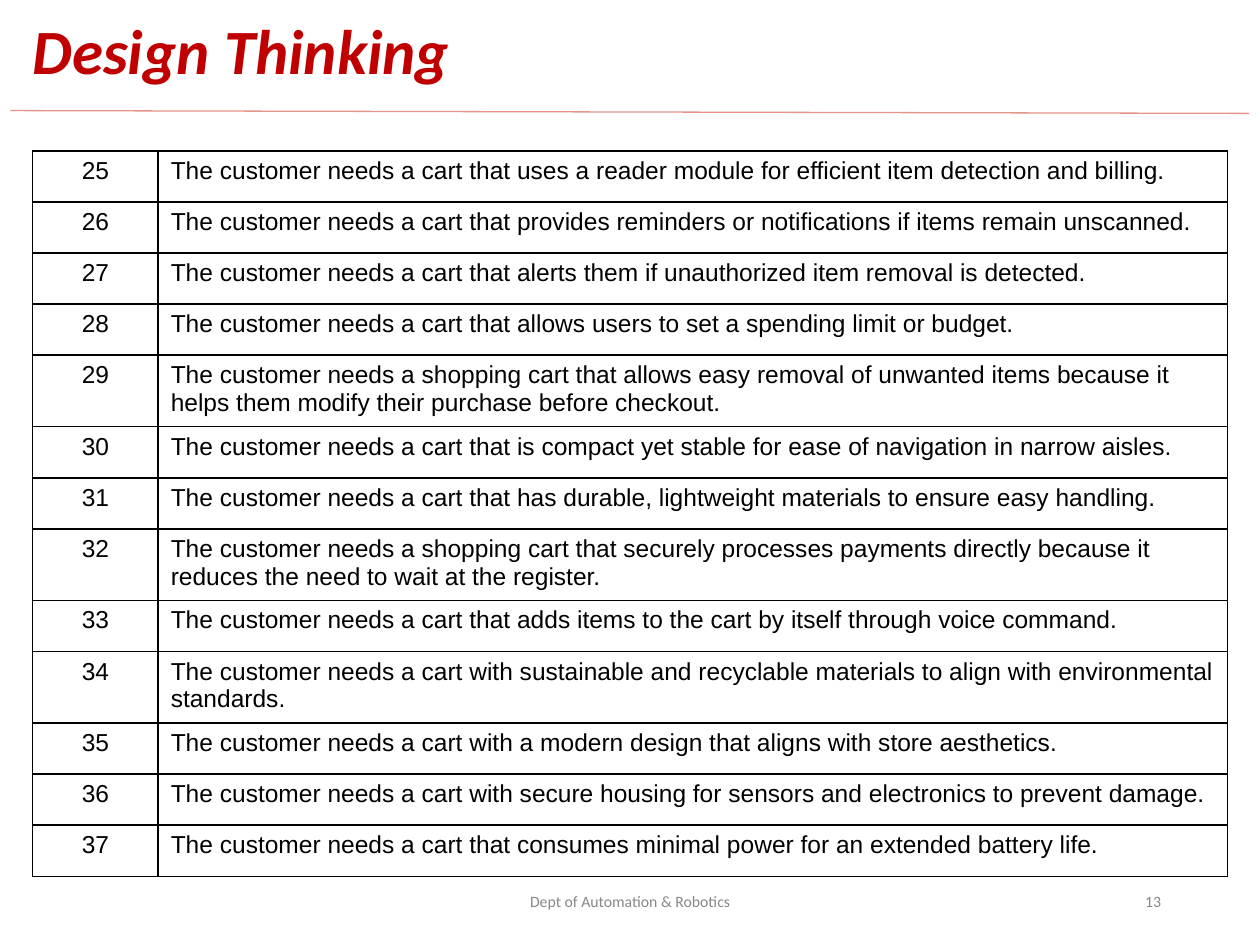
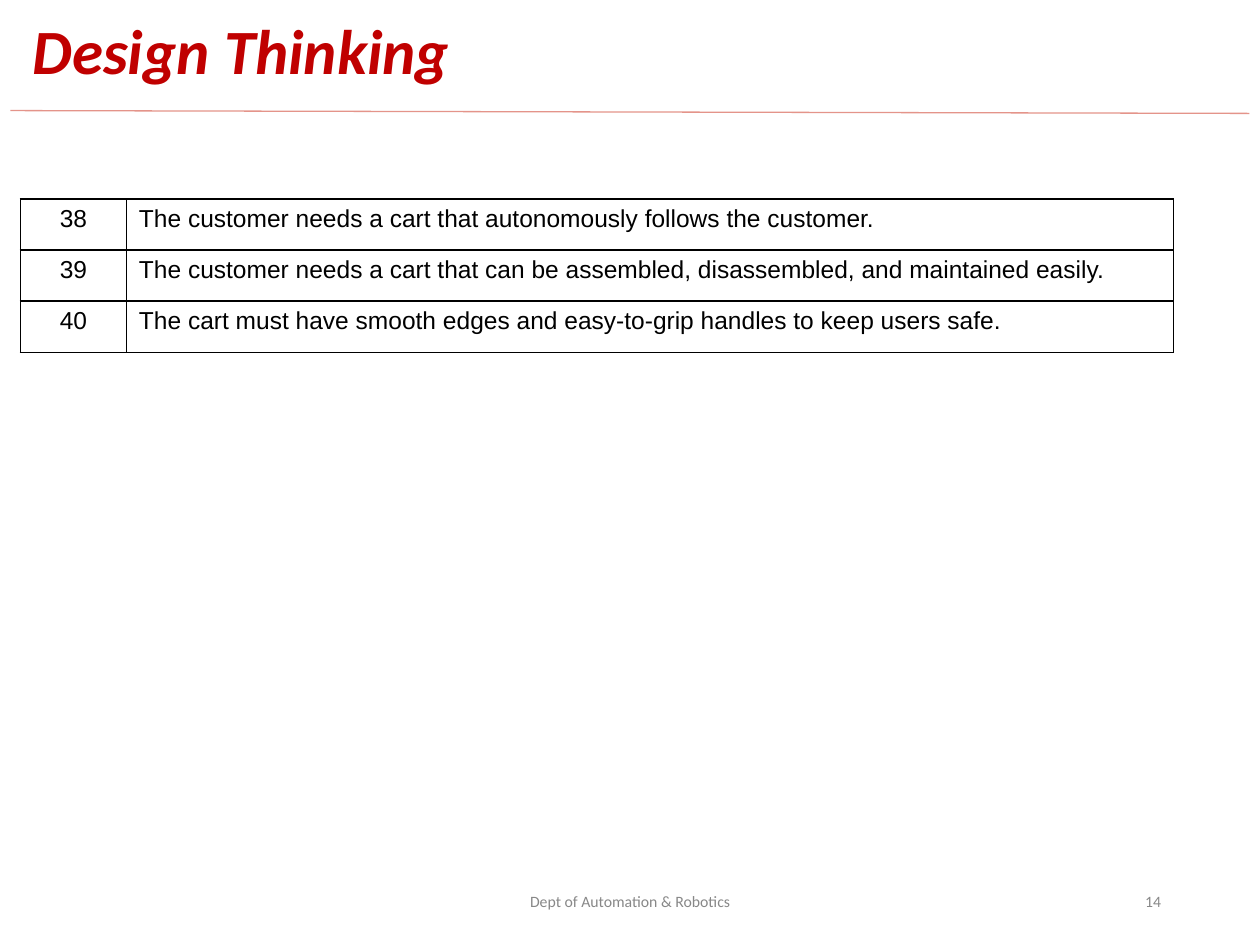
from dataclasses import dataclass

import pptx
import pptx.dml.color
import pptx.enum.shapes
import pptx.enum.text
import pptx.oxml.ns
import pptx.presentation
import pptx.slide
import pptx.table
import pptx.text.text
import pptx.util
from lxml import etree

Pt = pptx.util.Pt
RGB = pptx.dml.color.RGBColor
Align = pptx.enum.text.PP_ALIGN
qn = pptx.oxml.ns.qn


@dataclass(frozen=True)
class TextStyle:
    font: str
    size: float
    color: str
    bold: bool = False
    italic: bool = False
    line_spacing: float = 1.0


@dataclass(frozen=True)
class Theme:
    title: TextStyle = TextStyle("Calibri", 36, "C00000", True, True, 0.9)
    footer: TextStyle = TextStyle("Calibri", 9, "888888")
    body: TextStyle = TextStyle("Arial", 14, "000000")
    rule_color: str = "E4948A"
    rule_width: float = 0.75
    border_color: str = "000000"
    border_width: float = 1
    row_height: float = 29.2


@dataclass(frozen=True)
class Box:
    left: float
    top: float
    width: float
    height: float


@dataclass(frozen=True)
class NeedsPage:
    number: int
    left: float
    top: float
    number_width: float
    need_width: float
    first_need: int
    needs: tuple[str, ...]


THEME = Theme()
TITLE_BOX = Box(11.5, 10, 620.5, 42)
DEPARTMENT_BOX = Box(238.5, 500.5, 243, 28.75)
PAGE_NUMBER_BOX = Box(508.5, 500.5, 162, 28.75)

PAGES = (
    NeedsPage(13, 18.7, 86.2, 71.7, 611, 25, (
        "The customer needs a cart that uses a reader module for efficient item detection and billing.",
        "The customer needs a cart that provides reminders or notifications if items remain unscanned.",
        "The customer needs a cart that alerts them if unauthorized item removal is detected.",
        "The customer needs a cart that allows users to set a spending limit or budget.",
        "The customer needs a shopping cart that allows easy removal of unwanted items because it "
        "helps them modify their purchase before checkout.",
        "The customer needs a cart that is compact yet stable for ease of navigation in narrow aisles.",
        "The customer needs a cart that has durable, lightweight materials to ensure easy handling.",
        "The customer needs a shopping cart that securely processes payments directly because it "
        "reduces the need to wait at the register.",
        "The customer needs a cart that adds items to the cart by itself through voice command.",
        "The customer needs a cart with sustainable and recyclable materials to align with "
        "environmental standards.",
        "The customer needs a cart with a modern design that aligns with store aesthetics.",
        "The customer needs a cart with secure housing for sensors and electronics to prevent damage.",
        "The customer needs a cart that consumes minimal power for an extended battery life.",
    )),
    NeedsPage(14, 11.7, 113.7, 60.5, 598.3, 38, (
        "The customer needs a cart that autonomously follows the customer.",
        "The customer needs a cart that can be assembled, disassembled, and maintained easily.",
        "The cart must have smooth edges and easy-to-grip handles to keep users safe.",
    )),
)


def write(frame: pptx.text.text.TextFrame, text: str, style: TextStyle, align: Align) -> None:
    paragraph = frame.paragraphs[0]
    paragraph.text = text
    paragraph.alignment = align
    paragraph.line_spacing = style.line_spacing
    font = paragraph.font
    font.name = style.font
    font.size = Pt(style.size)
    font.bold = style.bold
    font.italic = style.italic
    font.color.rgb = RGB.from_string(style.color)


def add_text(slide: pptx.slide.Slide, box: Box, text: str, style: TextStyle,
             align: Align = Align.LEFT) -> None:
    frame = slide.shapes.add_textbox(
        Pt(box.left), Pt(box.top), Pt(box.width), Pt(box.height)).text_frame
    frame.word_wrap = True
    frame.vertical_anchor = pptx.enum.text.MSO_ANCHOR.MIDDLE
    write(frame, text, style, align)


def add_title_rule(slide: pptx.slide.Slide) -> None:
    rule = slide.shapes.add_connector(
        pptx.enum.shapes.MSO_CONNECTOR.STRAIGHT, Pt(6), Pt(63.2), Pt(714), Pt(64.8))
    rule.line.color.rgb = RGB.from_string(THEME.rule_color)
    rule.line.width = Pt(THEME.rule_width)
    etree.SubElement(rule._element.spPr, qn("a:effectLst"))


def style_cell(cell: pptx.table._Cell) -> None:
    properties = cell._tc.get_or_add_tcPr()
    for side in ("a:lnL", "a:lnR", "a:lnT", "a:lnB"):
        border = etree.SubElement(properties, qn(side), w=str(Pt(THEME.border_width)))
        fill = etree.SubElement(border, qn("a:solidFill"))
        etree.SubElement(fill, qn("a:srgbClr"), val=THEME.border_color)
    cell.fill.background()


def add_needs_table(slide: pptx.slide.Slide, page: NeedsPage) -> None:
    widths = (page.number_width, page.need_width)
    count = len(page.needs)
    table = slide.shapes.add_table(
        count, len(widths), Pt(page.left), Pt(page.top),
        Pt(sum(widths)), Pt(count * THEME.row_height)).table
    table.first_row = False
    table.horz_banding = False
    for column, width in zip(table.columns, widths):
        column.width = Pt(width)
    for row, (number, need) in zip(table.rows, enumerate(page.needs, page.first_need)):
        row.height = Pt(THEME.row_height)
        for cell, text, align in zip(row.cells, (str(number), need), (Align.CENTER, Align.LEFT)):
            write(cell.text_frame, text, THEME.body, align)
            style_cell(cell)


def add_page(deck: pptx.presentation.Presentation, page: NeedsPage) -> None:
    slide = deck.slides.add_slide(deck.slide_layouts[6])
    add_title_rule(slide)
    add_text(slide, TITLE_BOX, "Design Thinking", THEME.title)
    add_text(slide, DEPARTMENT_BOX, "Dept of Automation & Robotics", THEME.footer, Align.CENTER)
    add_text(slide, PAGE_NUMBER_BOX, str(page.number), THEME.footer, Align.RIGHT)
    add_needs_table(slide, page)


def main() -> None:
    deck = pptx.Presentation()
    deck.slide_width = Pt(720)
    deck.slide_height = Pt(540)
    for page in PAGES:
        add_page(deck, page)
    deck.save("out.pptx")


if __name__ == "__main__":
    main()
